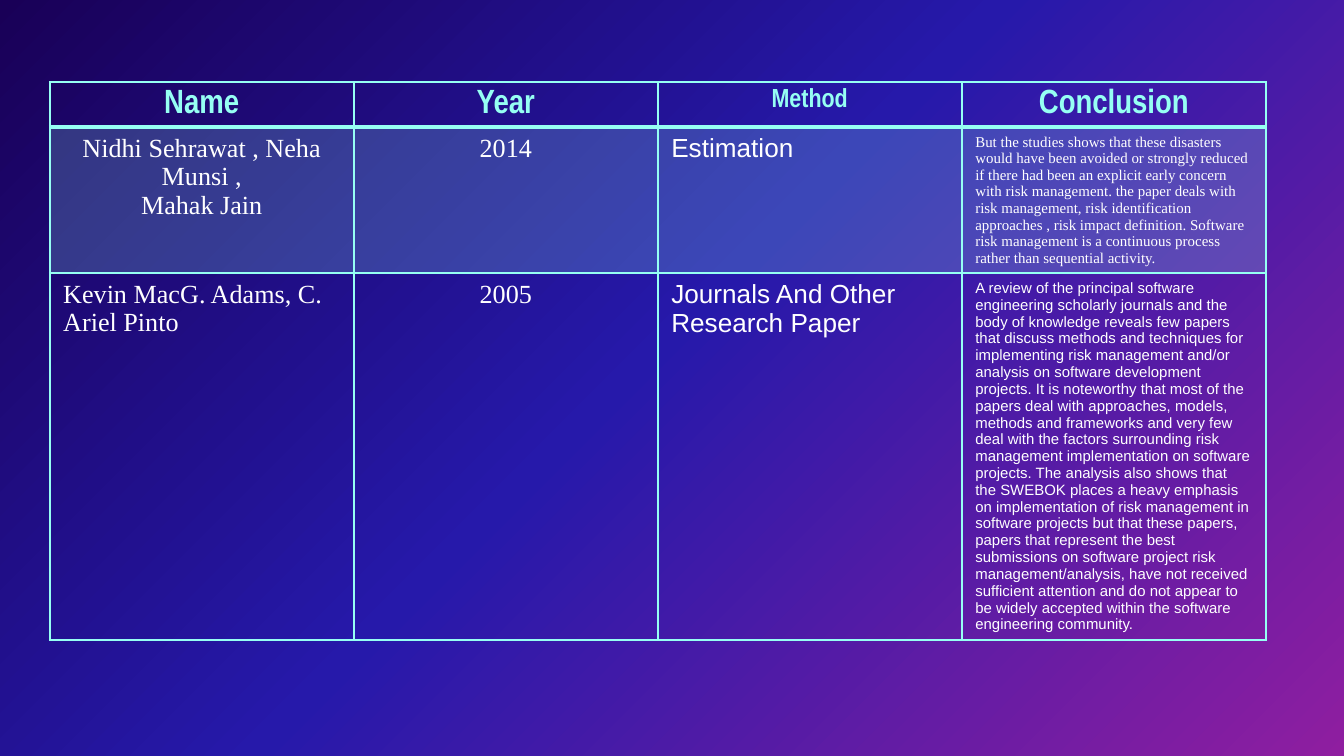
"""Build a literature review table slide on a gradient background."""
from lxml.etree import SubElement
from pptx import Presentation
from pptx.dml.color import RGBColor
from pptx.enum.text import PP_ALIGN
from pptx.oxml import parse_xml
from pptx.oxml.ns import nsdecls, qn
from pptx.util import Inches, Pt

THEME = {
    "accent": "96FFF3", "text": "FFFFFF",
    "gradient": [(0, "190057"), (48, "2619AA"), (100, "8F1EA0")], "angle": 45,
    "band_alpha": 20, "border": 1, "rule": 2,
    "head": 18, "body": 14, "small": 8,
    "narrow": "Arial Narrow", "sans": "Arial", "serif": "Times New Roman",
}
LEFT, TOP, WIDTH = 0.37, 0.61, 9.05
ROW_HEIGHTS = [0.33, 1.08, 2.73]

ROWS = [
    [("Name", "narrow", "head", True), ("Year", "narrow", "head", True),
     ("Method", "narrow", "body", True), ("Conclusion", "narrow", "head", True)],
    [("Nidhi Sehrawat , Neha Munsi ,\nMahak Jain", "serif", "body", True),
     ("2014", "serif", "body", True),
     ("Estimation", "sans", "body", False),
     ("But the studies shows that these disasters would have been avoided or strongly "
      "reduced if there had been an explicit early concern with risk management. the paper "
      "deals with risk management, risk identification approaches , risk impact definition. "
      "Software risk management is a continuous process rather than sequential activity.",
      "serif", "small", False)],
    [("Kevin MacG. Adams, C. Ariel Pinto", "serif", "body", False),
     ("2005", "serif", "body", True),
     ("Journals And Other Research Paper", "sans", "body", False),
     ("A review of the principal software engineering scholarly journals and the body of "
      "knowledge reveals few papers that discuss methods and techniques for implementing "
      "risk management and/or analysis on software development projects. It is noteworthy "
      "that most of the papers deal with approaches, models, methods and frameworks and very "
      "few deal with the factors surrounding risk management implementation on software "
      "projects. The analysis also shows that the SWEBOK places a heavy emphasis on "
      "implementation of risk management in software projects but that these papers, papers "
      "that represent the best submissions on software project risk management/analysis, "
      "have not received sufficient attention and do not appear to be widely accepted within "
      "the software engineering community.", "sans", "small", False)],
]


def set_background(s):
    stops = "".join(f'<a:gs pos="{pos * 1000}"><a:srgbClr val="{color}"/></a:gs>'
                    for pos, color in THEME["gradient"])
    s.background.fill.solid()
    bg_pr = s.background._cSld.bg.bgPr
    bg_pr.replace(bg_pr[0], parse_xml(
        f'<a:gradFill {nsdecls("a")} rotWithShape="1"><a:gsLst>{stops}</a:gsLst>'
        f'<a:lin ang="{THEME["angle"] * 60000}" scaled="0"/></a:gradFill>'))


def set_borders(cell, widths):
    tc_pr = cell._tc.get_or_add_tcPr()
    for i, (side, width) in enumerate(widths.items()):
        tc_pr.insert(i, parse_xml(
            f'<a:ln{side} {nsdecls("a")} w="{Pt(width)}"><a:solidFill>'
            f'<a:srgbClr val="{THEME["accent"]}"/></a:solidFill></a:ln{side}>'))


def fill_cell(cell, banded):
    if not banded:
        cell.fill.background()
        return
    cell.fill.solid()
    cell.fill.fore_color.rgb = RGBColor.from_string(THEME["accent"])
    color = cell._tc.tcPr.find(f'{qn("a:solidFill")}/{qn("a:srgbClr")}')
    SubElement(color, qn("a:alpha"), val=str(THEME["band_alpha"] * 1000))


def write_cell(cell, text, font, size, centered, header):
    cell.text_frame.text = text
    for p in cell.text_frame.paragraphs:
        p.alignment = PP_ALIGN.CENTER if centered else PP_ALIGN.LEFT
        for r in p.runs:
            r.font.name = THEME[font]
            r.font.size = Pt(THEME[size])
            r.font.bold = header
            r.font.color.rgb = RGBColor.from_string(THEME["accent" if header else "text"])


def add_review_table(s):
    n_cols = len(ROWS[0])
    table = s.shapes.add_table(
        len(ROWS), n_cols, Inches(LEFT), Inches(TOP),
        Inches(WIDTH), Inches(sum(ROW_HEIGHTS))).table
    table.horz_banding = False
    for column in table.columns:
        column.width = Inches(WIDTH / n_cols)
    for i, (row, height) in enumerate(zip(ROWS, ROW_HEIGHTS)):
        table.rows[i].height = Inches(height)
        widths = dict.fromkeys("LRTB", THEME["border"])
        if i < 2:
            widths["B" if i == 0 else "T"] = THEME["rule"]
        for j, content in enumerate(row):
            cell = table.cell(i, j)
            write_cell(cell, *content, header=i == 0)
            fill_cell(cell, banded=i == 1)
            set_borders(cell, widths)


def main():
    prs = Presentation()
    prs.slide_width = Inches(10)
    prs.slide_height = prs.slide_width * 9 // 16
    s = prs.slides.add_slide(prs.slide_layouts[6])
    set_background(s)
    add_review_table(s)
    prs.save("out.pptx")


if __name__ == "__main__":
    main()
